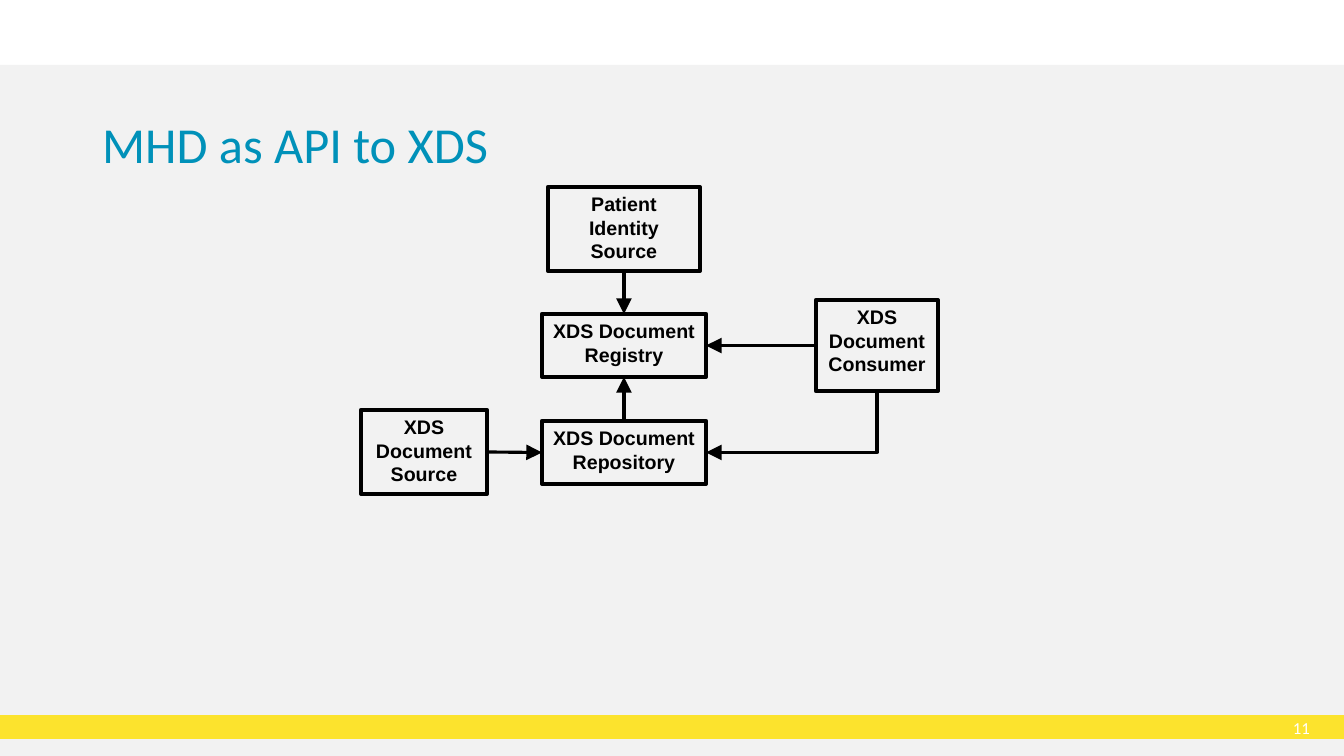
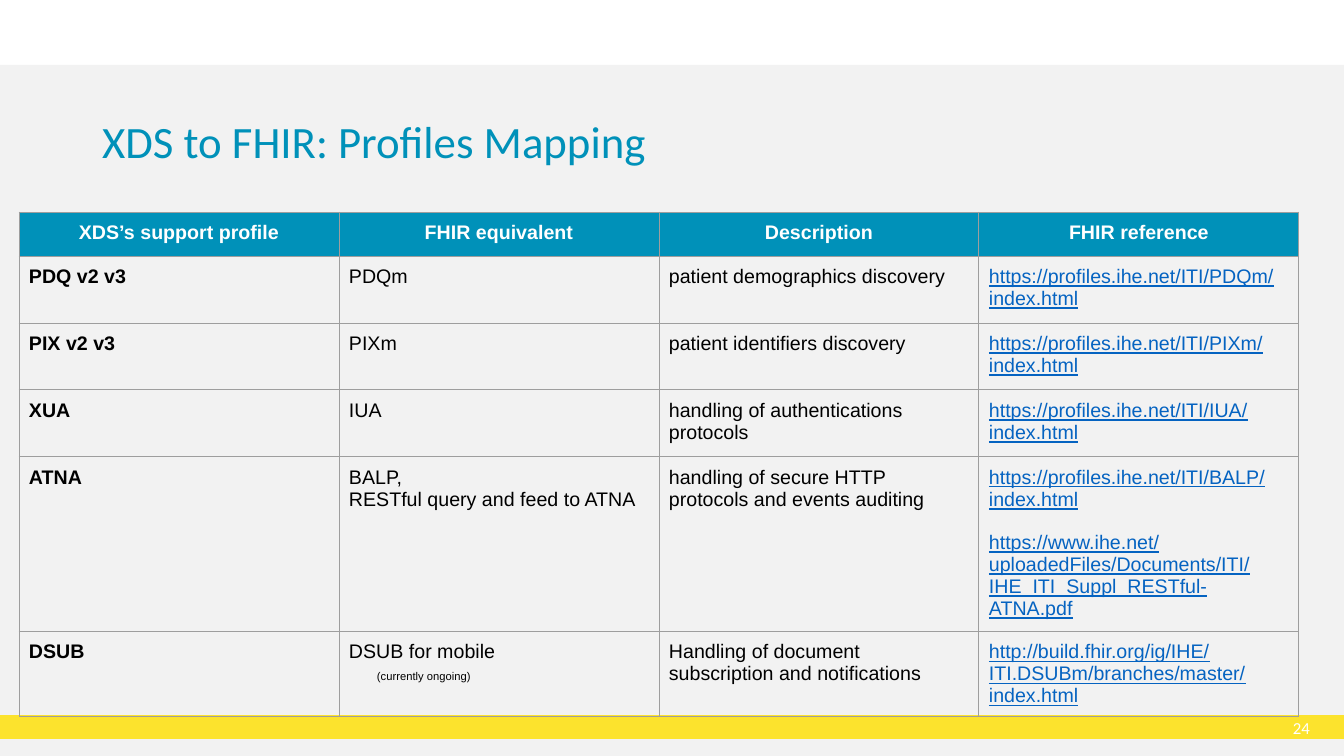
"""Build two slides on the XDS and FHIR profiles: an actor diagram and a mapping table."""
from lxml import etree
from pptx import Presentation
from pptx import util as u
from pptx.dml.color import RGBColor
from pptx.enum import shapes, text
from pptx.oxml.ns import qn

BLACK = RGBColor(0x00, 0x00, 0x00)
WHITE = RGBColor(0xFF, 0xFF, 0xFF)
TEAL = RGBColor(0x00, 0x91, 0xB9)
GREY = RGBColor(0xF2, 0xF2, 0xF2)
YELLOW = RGBColor(0xFC, 0xE3, 0x2D)
LINK = RGBColor(0x05, 0x63, 0xC1)
BORDER = RGBColor(0x9E, 0x9E, 0x9E)
SLIDE_W, SLIDE_H = 1344, 756
TOP, LEFT, BOTTOM, RIGHT = range(4)

ACTORS = {
    "consumer": ("XDS Document Consumer", 816, 300, 122, 91),
    "patient": ("Patient Identity Source", 548, 187, 152, 84),
    "registry": ("XDS Document Registry", 542, 314, 164, 63),
    "repository": ("XDS Document Repository", 542, 421, 164, 63),
    "source": ("XDS Document Source", 361, 410, 126, 84),
}
ARROWS = [
    ("registry", BOTTOM, "repository", TOP),
    ("repository", LEFT, "source", RIGHT),
    ("registry", RIGHT, "consumer", LEFT),
    ("registry", TOP, "patient", BOTTOM),
]
HEADER = ["XDS’s support profile", "FHIR equivalent", "Description", "FHIR reference"]
PROFILES = [
    ("PDQ v2 v3", "PDQm", "patient demographics discovery",
     "https://profiles.ihe.net/ITI/PDQm/index.html"),
    ("PIX v2 v3", "PIXm", "patient identifiers discovery",
     "https://profiles.ihe.net/ITI/PIXm/index.html"),
    ("XUA", "IUA", "handling of authentications protocols",
     "https://profiles.ihe.net/ITI/IUA/index.html"),
    ("ATNA", "BALP,\nRESTful query and feed to ATNA",
     "handling of secure HTTP protocols and events auditing",
     "https://profiles.ihe.net/ITI/BALP/index.html\n"
     "https://www.ihe.net/uploadedFiles/Documents/ITI/IHE_ITI_Suppl_RESTful-ATNA.pdf"),
    ("DSUB", "DSUB for mobile\n(currently ongoing)",
     "Handling of document subscription and notifications",
     "http://build.fhir.org/ig/IHE/ITI.DSUBm/branches/master/index.html"),
]
ROW_HEIGHTS = [44, 67, 67, 67, 173, 85]


def px(n):
    return u.Emu(round(n * 12192000 / SLIDE_W))


def box(*lengths):
    return [px(n) for n in lengths]


def style(p, size, color, name="Arial", bold=False, align=text.PP_ALIGN.LEFT):
    p.alignment = align
    f = p.font
    f.size, f.name, f.bold = u.Pt(size), name, bold
    f.color.rgb = color


def add_bands(s, layout):
    bands = [(GREY, 65, SLIDE_H - 65), (YELLOW, 715, 24)]
    for i, (color, top, height) in enumerate(bands):
        sp = s.shapes.add_shape(shapes.MSO_SHAPE.RECTANGLE, *box(0, top, SLIDE_W, height))
        sp.shadow.inherit = False
        sp.fill.solid()
        sp.fill.fore_color.rgb = color
        sp.line.fill.background()
        sp.element.nvSpPr.cNvPr.set("id", str(20 + i))
        layout.shapes.element.insert(2 + i, sp.element)


def add_slide(prs, layout, title, size, number):
    s = prs.slides.add_slide(layout)
    tf = s.shapes.title.text_frame
    tf.text = title
    tf.vertical_anchor = text.MSO_ANCHOR.TOP
    tf.auto_size = text.MSO_AUTO_SIZE.NONE
    p = tf.paragraphs[0]
    p.line_spacing = 0.9
    style(p, size, TEAL, "Calibri")

    tf = s.shapes.add_textbox(*box(1265, 716, 45, 24)).text_frame
    tf.word_wrap = True
    tf.margin_left = tf.margin_right = tf.margin_top = tf.margin_bottom = 0
    tf.vertical_anchor = text.MSO_ANCHOR.MIDDLE
    tf.text = str(number)
    style(tf.paragraphs[0], 12, WHITE, "Calibri", align=text.PP_ALIGN.RIGHT)
    return s


def add_actor(s, label, *place):
    sp = s.shapes.add_shape(shapes.MSO_SHAPE.RECTANGLE, *box(*place))
    sp.shadow.inherit = False
    sp.fill.background()
    sp.line.color.rgb = BLACK
    sp.line.width = u.Pt(3)
    tf = sp.text_frame
    tf.word_wrap = True
    tf.vertical_anchor = text.MSO_ANCHOR.TOP
    tf.text = label
    style(tf.paragraphs[0], 14, BLACK, bold=True, align=text.PP_ALIGN.CENTER)
    return sp


def add_arrow(s, target, target_side, origin, origin_side, kind=shapes.MSO_CONNECTOR.STRAIGHT):
    c = s.shapes.add_connector(kind, 0, 0, 0, 0)
    c.begin_connect(target, target_side)
    c.end_connect(origin, origin_side)
    c.line.color.rgb = BLACK
    c.line.width = u.Pt(2.25)
    sp_pr = c.element.spPr
    ln = sp_pr.find(qn("a:ln"))
    etree.SubElement(ln, qn("a:headEnd"), type="triangle", w="lg", len="lg")
    etree.SubElement(sp_pr, qn("a:effectLst"))
    return c


def add_borders(cell):
    tc_pr = cell._tc.get_or_add_tcPr()
    for i, side in enumerate(("lnL", "lnR", "lnT", "lnB")):
        ln = etree.Element(qn("a:" + side), w=str(u.Pt(0.75)))
        fill = etree.SubElement(ln, qn("a:solidFill"))
        etree.SubElement(fill, qn("a:srgbClr"), val=str(BORDER))
        tc_pr.insert(i, ln)


def fill_cell(cell, content, row, col):
    cell.margin_left = cell.margin_right = cell.margin_top = px(10)
    cell.margin_bottom = px(2)
    cell.text = content
    if row == 0:
        cell.fill.solid()
        cell.fill.fore_color.rgb = TEAL
    else:
        cell.fill.background()
    add_borders(cell)
    is_link = row > 0 and col == 3
    color = WHITE if row == 0 else LINK if is_link else BLACK
    align = text.PP_ALIGN.LEFT if row else text.PP_ALIGN.CENTER
    for i, p in enumerate(cell.text_frame.paragraphs):
        is_note = p.text.startswith("(")
        size = 8 if is_note else 14
        if is_note:
            p._p.get_or_add_pPr().set("marL", str(px(28)))
        if i and (is_link or is_note):
            p.space_before = u.Pt(15 if is_link else 5)
        style(p, size, color, bold=row == 0 or col == 0, align=align)
        if is_link:
            p.font.underline = True
        etree.SubElement(p._p, qn("a:endParaRPr"), sz=str(size * 100))


def add_profile_table(s):
    rows = [HEADER, *PROFILES]
    frame = s.shapes.add_table(len(rows), len(HEADER), *box(19, 212, 1280, sum(ROW_HEIGHTS)))
    table = frame.table
    table.first_row = table.horz_banding = False
    for column in table.columns:
        column.width = px(320)
    for r, (height, contents) in enumerate(zip(ROW_HEIGHTS, rows)):
        table.rows[r].height = px(height)
        for c, content in enumerate(contents):
            fill_cell(table.cell(r, c), content, r, c)


def add_diagram(s):
    actors = {key: add_actor(s, *spec) for key, spec in ACTORS.items()}
    for target, target_side, origin, origin_side in ARROWS:
        add_arrow(s, actors[target], target_side, actors[origin], origin_side)
    elbow = add_arrow(s, actors["repository"], RIGHT, actors["consumer"], BOTTOM,
                      shapes.MSO_CONNECTOR.ELBOW)
    elbow.element.spPr.find(qn("a:prstGeom")).set("prst", "bentConnector2")


def main():
    prs = Presentation()
    prs.slide_width, prs.slide_height = box(SLIDE_W, SLIDE_H)
    layout = prs.slide_layouts.get_by_name("Title Only")
    title = layout.placeholders[0]
    title.left, title.top, title.width, title.height = box(92, 115, 1159, 98)

    s = add_slide(prs, layout, "MHD as API to XDS", 36, 11)
    add_bands(s, layout)
    add_diagram(s)

    s = add_slide(prs, layout, "XDS to FHIR: Profiles Mapping", 32, 24)
    add_profile_table(s)
    prs.save("out.pptx")


if __name__ == "__main__":
    main()
